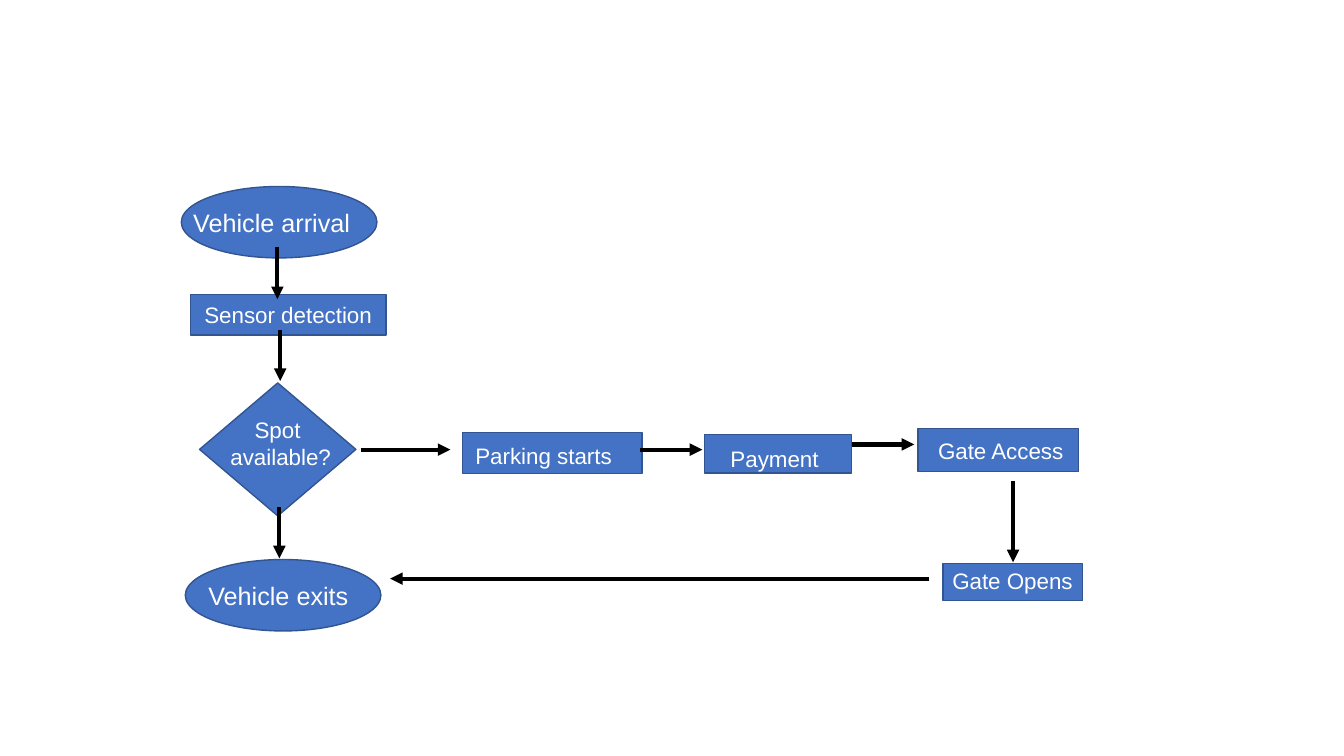
"""Build a flowchart slide of a parking process, from arrival to exit."""
from lxml.etree import SubElement
from pptx import Presentation
from pptx.dml.color import RGBColor
from pptx.enum.shapes import MSO_CONNECTOR, MSO_SHAPE as Preset
from pptx.enum.text import PP_ALIGN as Align
from pptx.oxml.ns import qn
from pptx.util import Cm, Pt

COLORS = {"step": "4472C4", "outline": "325491", "label": "FFFFFF", "arrow": "000000"}
FONT = "Arial"

STEPS = [
    (Preset.OVAL, (4.57, 4.7, 4.93, 1.8),
     "Vehicle arrival", (4.62, 5.11, 4.83, 1.02), {"size": 18}),
    (Preset.OVAL, (4.67, 14.1, 4.93, 1.8),
     "Vehicle exits", (5, 14.5, 4.83, 1.02), {"size": 18}),
    (Preset.RECTANGLE, (4.8, 7.42, 4.93, 1.02),
     "Sensor detection", (4.9, 7.47, 4.98, 0.94), {}),
    (Preset.FLOWCHART_DECISION, (5.03, 9.65, 3.94, 3.35),
     "Spot \navailable?", (5.31, 10.36, 3.53, 1.63), {"align": Align.CENTER}),
    (Preset.RECTANGLE, (23.77, 14.2, 3.51, 0.94),
     "Gate Opens", (23.75, 14.17, 3.58, 0.94), {}),
    (Preset.RECTANGLE, (11.66, 10.9, 4.52, 1.04),
     "Parking starts", (11.73, 11.02, 4.24, 0.94), {}),
    (Preset.RECTANGLE, (17.75, 10.95, 3.71, 0.97),
     "Payment", (18.16, 11.1, 2.92, 0.94), {}),
    (Preset.RECTANGLE, (23.14, 10.8, 4.04, 1.09),
     "Gate Access", (23.39, 10.9, 3.71, 0.94), {}),
]

ARROWS = [
    (6.99, 6.22, 6.99, 7.54),
    (7.04, 12.78, 7.04, 14.07),
    (25.53, 12.12, 25.53, 14.17),
    (23.42, 14.58, 9.83, 14.58),
    (16.13, 11.33, 17.7, 11.33),
    (21.46, 11.2, 23.04, 11.2),
    (9.09, 11.33, 11.35, 11.33),
    (7.06, 8.31, 7.06, 9.6),
]


def color(name):
    return RGBColor.from_string(COLORS[name])


def lengths(values):
    return [Cm(value) for value in values]


def add_step(slide, preset, bounds):
    step = slide.shapes.add_shape(preset, *lengths(bounds))
    step.shadow.inherit = False
    step.fill.solid()
    step.fill.fore_color.rgb = color("step")
    step.line.color.rgb = color("outline")
    step.line.width = Pt(1)


def add_label(slide, text, bounds, size=16, align=Align.LEFT):
    frame = slide.shapes.add_textbox(*lengths(bounds)).text_frame
    frame.word_wrap = True
    frame.text = text
    for paragraph in frame.paragraphs:
        paragraph.alignment = align
        paragraph.font.name = FONT
        paragraph.font.size = Pt(size)
        paragraph.font.color.rgb = color("label")


def add_arrow(slide, ends):
    arrow = slide.shapes.add_connector(MSO_CONNECTOR.STRAIGHT, *lengths(ends))
    arrow.line.color.rgb = color("arrow")
    arrow.line.width = Pt(3)
    SubElement(arrow.line._get_or_add_ln(), qn("a:tailEnd"), type="triangle")
    SubElement(arrow._element.spPr, qn("a:effectLst"))


def main():
    deck = Presentation()
    deck.slide_width, deck.slide_height = Cm(33.87), Cm(19.05)
    slide = deck.slides.add_slide(deck.slide_layouts[6])
    for preset, bounds, text, label_bounds, style in STEPS:
        add_step(slide, preset, bounds)
        add_label(slide, text, label_bounds, **style)
    for ends in ARROWS:
        add_arrow(slide, ends)
    deck.save("out.pptx")


if __name__ == "__main__":
    main()
